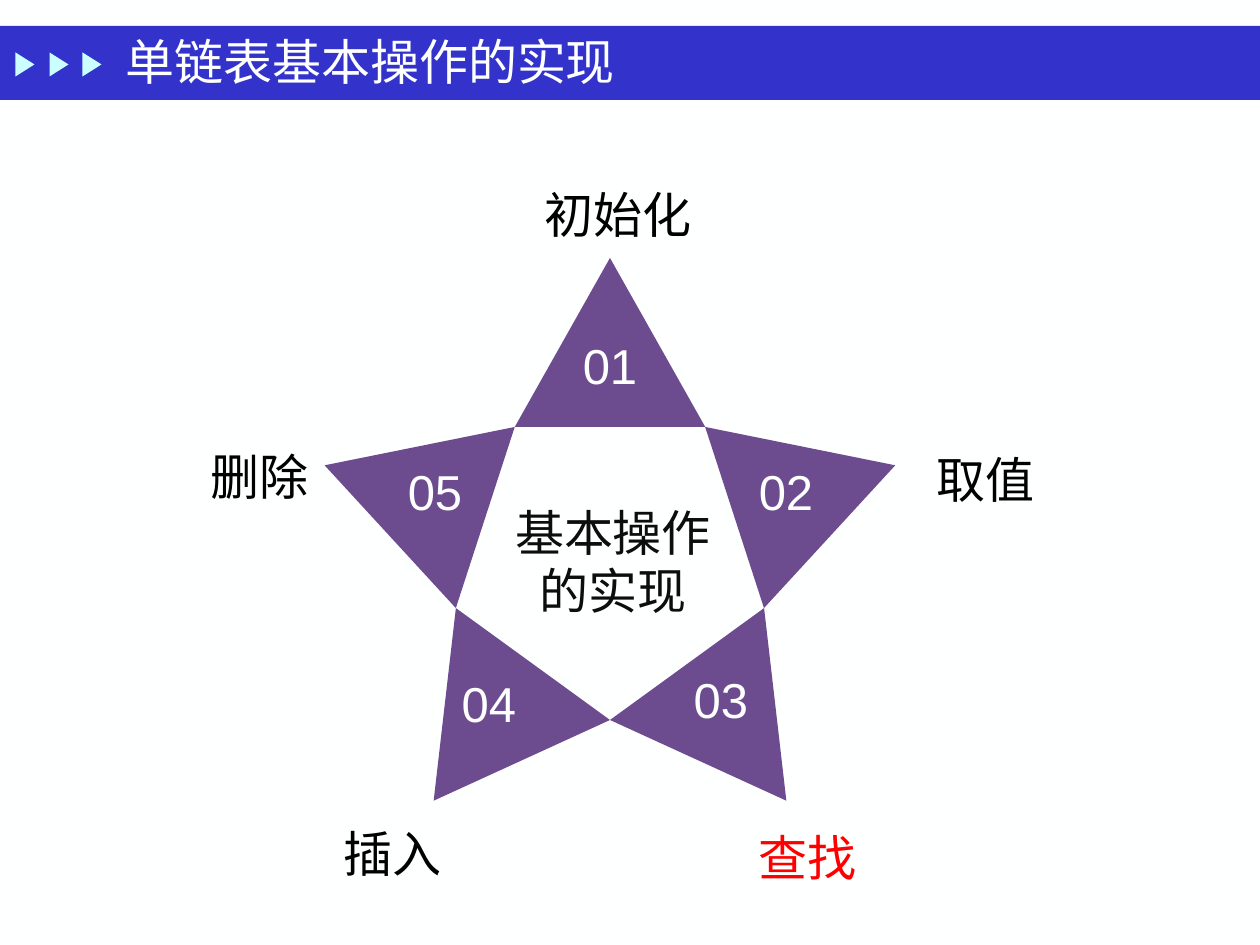
from math import cos, radians, sin

from pptx import Presentation
from pptx.dml.color import RGBColor
from pptx.enum.shapes import MSO_SHAPE as SHAPE
from pptx.enum.text import MSO_ANCHOR as ANCHOR, MSO_AUTO_SIZE as AUTO, PP_ALIGN as ALIGN
from pptx.util import Emu, Pt

PX = 914400 / 126
WHITE = RGBColor(0xFE, 0xFF, 0xFF)
BLUE = RGBColor(0x33, 0x33, 0xCC)
CYAN = RGBColor(0xCB, 0xFF, 0xFF)
PURPLE = RGBColor(0x6C, 0x4C, 0x8F)
BLACK = RGBColor(0, 0, 0)
DARK = RGBColor(0x0D, 0x0D, 0x0D)
RED = RGBColor(0xFF, 0, 0)
SERIF, SANS = "Times New Roman", "Arial"


def px(*values):
    return [Emu(round(v * PX)) for v in values]


def paint(sp, color):
    sp.shadow.inherit = False
    sp.fill.solid()
    sp.fill.fore_color.rgb = color
    sp.line.fill.background()


def write(sp, text, color=BLACK, font=SERIF, align=ALIGN.LEFT, anchor=ANCHOR.TOP,
          inset=None, spacing=None, before=None):
    tf = sp.text_frame
    tf.word_wrap = True
    tf.auto_size = AUTO.NONE
    tf.vertical_anchor = anchor
    if inset is not None:
        tf.margin_left = tf.margin_right = tf.margin_top = tf.margin_bottom = inset
    p = tf.paragraphs[0]
    p.alignment = align
    p.line_spacing = spacing
    p.space_before = before
    r = p.add_run()
    r.text = text
    r.font.name, r.font.size, r.font.color.rgb = font, Pt(28), color


def add_text(s, box, text, **fmt):
    write(s.shapes.add_textbox(*px(*box)), text, **fmt)


def add_header(s, x, y, w, h):
    bar = s.shapes.add_shape(SHAPE.RECTANGLE, *px(x, y, w, h))
    paint(bar, BLUE)
    for cx in (25, 59, 92):
        arrow = s.shapes.add_shape(SHAPE.ISOSCELES_TRIANGLE,
                                   *px(x + cx - 12, y + 29, 24, 19))
        arrow.rotation = 90
        paint(arrow, CYAN)
    title = s.shapes.title
    title.left, title.top, title.width, title.height = px(x + 113, y - 3, 988, 76)
    s.shapes._spTree.append(title._element)
    write(title, "单链表基本操作的实现", color=WHITE, anchor=ANCHOR.MIDDLE)


def add_star(s, cx, cy, outer, inner):
    def point(radius, degrees):
        a = radians(degrees)
        return cx + radius * sin(a), cy - radius * cos(a)

    for i in range(5):
        tip = 72 * i
        start, *rest = [point(inner, tip + 36), point(outer, tip), point(inner, tip - 36)]
        fb = s.shapes.build_freeform(*px(*start), scale=1.0)
        fb.add_line_segments([px(*pt) for pt in rest], close=True)
        paint(fb.convert_to_shape(), PURPLE)

    numbers = [(-33, -223), (143, -97), (78, 112), (-154, 115), (-208, -96)]
    for i, (dx, dy) in enumerate(numbers, 1):
        add_text(s, (cx + dx, cy + dy, 66, 59), f"{i:02}", color=WHITE, font=SANS,
                 align=ALIGN.CENTER, inset=0)
    add_text(s, (cx - 109, cy - 80, 224, 166), "基本操作的实现", color=DARK,
             align=ALIGN.CENTER, anchor=ANCHOR.MIDDLE)


def add_labels(s, cx, cy):
    labels = [("初始化", -78, -397, 198, BLACK), ("取值", 314, -132, 134, BLACK),
              ("查找", 136, 246, 146, RED), ("插入", -279, 242, 137, BLACK),
              ("删除", -412, -135, 129, BLACK)]
    for text, dx, dy, w, color in labels:
        add_text(s, (cx + dx, cy + dy, w, 76), text, color=color,
                 spacing=1.3, before=Pt(5.6))


def main():
    prs = Presentation()
    prs.slide_width, prs.slide_height = px(1260, 945)
    s = prs.slides.add_slide(prs.slide_layouts[5])
    s.background.fill.solid()
    s.background.fill.fore_color.rgb = WHITE
    add_header(s, 0, 26, 1260, 74)
    add_star(s, 610, 558, 300, 162)
    add_labels(s, 610, 558)
    prs.save("out.pptx")


if __name__ == "__main__":
    main()
